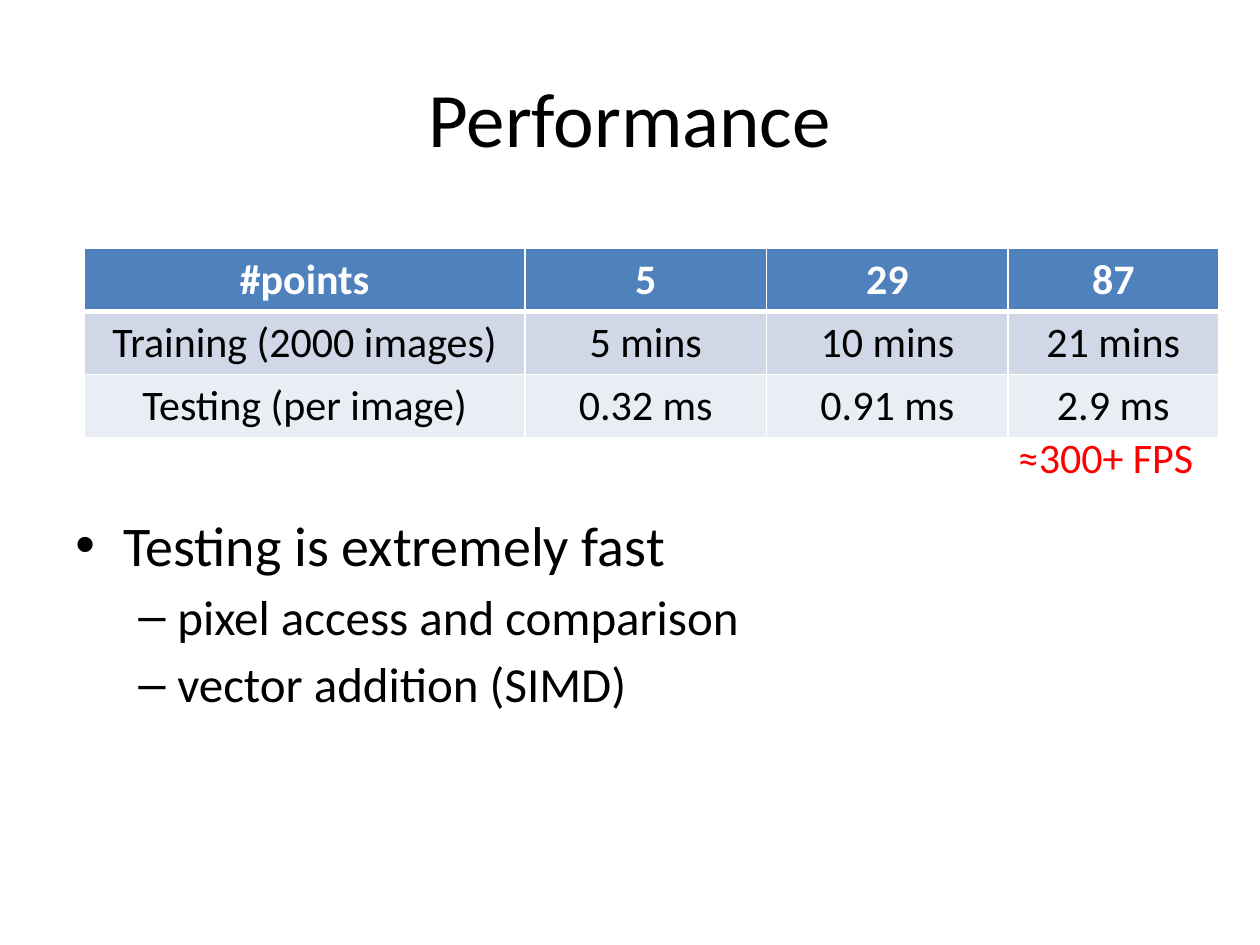
from lxml.etree import SubElement
from pptx import Presentation
from pptx.dml.color import RGBColor
from pptx.enum.text import MSO_ANCHOR, MSO_AUTO_SIZE, PP_ALIGN
from pptx.oxml.ns import qn
from pptx.util import Inches, Pt

BLACK = RGBColor(0x00, 0x00, 0x00)
WHITE = RGBColor(0xFF, 0xFF, 0xFF)
RED = RGBColor(0xFF, 0x00, 0x00)
BLUE = RGBColor(0x4F, 0x81, 0xBD)
BANDS = [RGBColor(0xD0, 0xD8, 0xE8), RGBColor(0xE9, 0xED, 0xF4)]

WIDE, HIGH = Inches(10), Inches(7.5)
COLS = [3.5, 1.92, 1.92, 1.67]
ROWS = [
    ["#points", "5", "29", "87"],
    ["Training (2000 images)", "5 mins", "10 mins", "21 mins"],
    ["Testing (per image)", "0.32 ms", "0.91 ms", "2.9 ms"],
]
POINTS = [
    ("Testing is extremely fast", 0),
    ("pixel access and comparison", 1),
    ("vector addition (SIMD)", 1),
]
LEVELS = [("•", 0.38, -0.38, 32), ("–", 0.81, -0.31, 28)]


def area(left, top, width, height):
    return int(WIDE * left), int(HIGH * top), int(WIDE * width), int(HIGH * height)


def write(para, text, size=24, color=BLACK, bold=False, align=PP_ALIGN.LEFT):
    para.alignment = align
    run = para.add_run()
    run.text = text
    font = run.font
    font.name, font.size, font.bold = "Calibri", Pt(size), bold
    font.color.rgb = color


def edge(cell, side, width):
    line = SubElement(cell._tc.get_or_add_tcPr(), qn(f"a:ln{side}"), w=str(Pt(width)))
    fill = SubElement(line, qn("a:solidFill"))
    SubElement(fill, qn("a:srgbClr"), val=str(WHITE))


def bullet(para, level):
    mark, left, hang, size = LEVELS[level]
    para.level = level
    props = para._p.get_or_add_pPr()
    props.set("marL", str(Inches(left)))
    props.set("indent", str(Inches(hang)))
    SubElement(props, qn("a:buFont"), typeface="Arial")
    SubElement(props, qn("a:buChar"), char=mark)
    return size


def title(slide, box):
    frame = slide.shapes.add_textbox(*box).text_frame
    frame.word_wrap = True
    frame.vertical_anchor = MSO_ANCHOR.MIDDLE
    write(frame.paragraphs[0], "Performance", size=44, align=PP_ALIGN.CENTER)


def grid(slide, box):
    table = slide.shapes.add_table(len(ROWS), len(COLS), *box).table
    for col, share in zip(table.columns, COLS):
        col.width = int(box[2] * share / sum(COLS))
    for r, texts in enumerate(ROWS):
        head = r == 0
        table.rows[r].height = box[3] // len(ROWS)
        for c, text in enumerate(texts):
            cell = table.cell(r, c)
            for side in "LRTB":
                thick = (head and side == "B") or (r == 1 and side == "T")
                edge(cell, side, 3 if thick else 1)
            cell.fill.solid()
            cell.fill.fore_color.rgb = BLUE if head else BANDS[r - 1]
            write(cell.text_frame.paragraphs[0], text, bold=head,
                  color=WHITE if head else BLACK, align=PP_ALIGN.CENTER)


def body(slide, box):
    frame = slide.shapes.add_textbox(*box).text_frame
    frame.word_wrap = True
    for i, (text, level) in enumerate(POINTS):
        para = frame.add_paragraph() if i else frame.paragraphs[0]
        if i:
            para.space_before = Pt(5)
        size = bullet(para, level)
        write(para, text, size=size)


def note(slide, box):
    frame = slide.shapes.add_textbox(*box).text_frame
    frame.word_wrap = False
    frame.auto_size = MSO_AUTO_SIZE.SHAPE_TO_FIT_TEXT
    write(frame.paragraphs[0], "≈300+ FPS", color=RED)


def main():
    deck = Presentation()
    deck.slide_width, deck.slide_height = WIDE, HIGH
    slide = deck.slides.add_slide(deck.slide_layouts[6])
    title(slide, area(0.05, 0.04, 0.9, 1 / 6))
    grid(slide, area(0.067, 1.97 / 7.5, 0.9, 0.2))
    body(slide, area(0.05, 4 / 7.5, 0.9, 0.25))
    note(slide, area(0.798, 0.45, 0.161, 0.5 / 7.5))
    deck.save("out.pptx")


if __name__ == "__main__":
    main()
